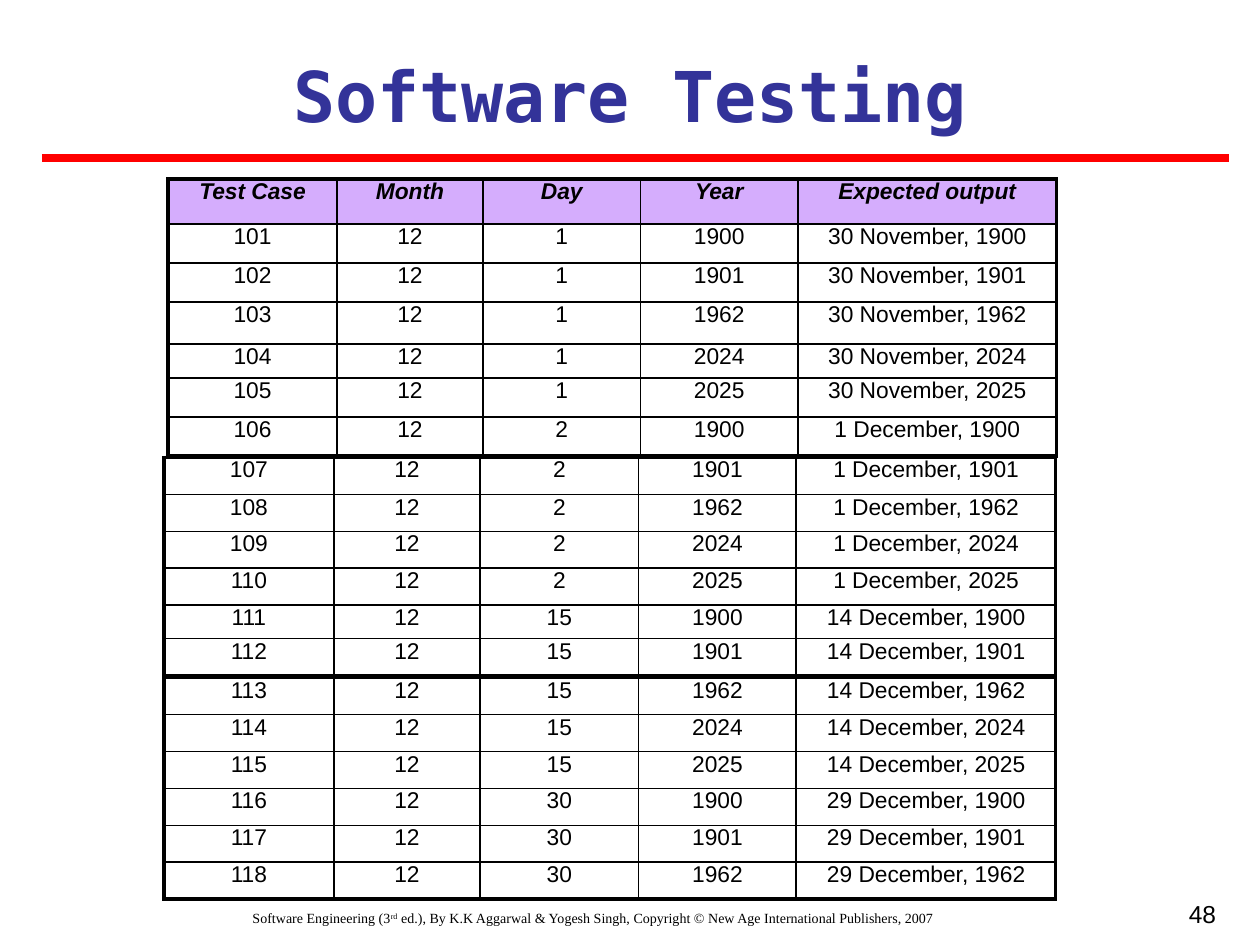
from itertools import product

from lxml import etree
from pptx import Presentation
from pptx.dml.color import RGBColor
from pptx.enum.shapes import MSO_CONNECTOR
from pptx.enum.text import MSO_ANCHOR, MSO_AUTO_SIZE, PP_ALIGN
from pptx.oxml.ns import qn
from pptx.util import Pt

LEFT, MID, RIGHT = PP_ALIGN.LEFT, PP_ALIGN.CENTER, PP_ALIGN.RIGHT
TOP = MSO_ANCHOR.TOP
GROW = MSO_AUTO_SIZE.SHAPE_TO_FIT_TEXT
STRAIGHT = MSO_CONNECTOR.STRAIGHT

COLORS = {"ink": "000000", "title": "333399", "rule": "FF0000", "head": "D5ADFD"}
THIN, THICK = 1, 2.25

TITLE = {"name": "DejaVu Sans Mono", "size": Pt(40), "bold": True}
BODY = {"name": "Arial", "size": Pt(13), "bold": False, "italic": False}
HEAD = {**BODY, "bold": True, "italic": True}
PAGE = {"name": "Arial", "size": Pt(14)}
CREDIT = {"name": "Times New Roman", "size": Pt(8)}

LABELS = ("Test Case", "Month", "Day", "Year", "Expected output")
DAYS = {1: "30 November", 2: "1 December", 15: "14 December", 30: "29 December"}
YEARS = (1900, 1901, 1962, 2024, 2025)
FIRST, LAST = 101, 118

# Left, top, column widths and row heights of each stacked table
WIDE = (97.2, 83.5, 90.7, 90, 148.3)
GRIDS = (
    (96, 102.3, (96.5, 83.5, 90, 90, 147.6), (25.7, 22.3, 22.3, 24, 19.4, 22.3, 22.3)),
    (93.6, 261.3, WIDE, (21.4, 21, 21, 21, 19.4, 21.4)),
    (93.6, 387.2, WIDE, (21.1,) * 6),
)


def style(font, form, color="ink"):
    for key, value in form.items():
        setattr(font, key, value)
    font.color.rgb = RGBColor.from_string(COLORS[color])


def write(para, text, form, align=LEFT, color="ink"):
    para.alignment = align
    run = para.add_run()
    run.text = text
    style(run.font, form, color)
    return run


def add_title(slide, text):
    title = slide.shapes.title
    title.left, title.top, title.width, title.height = map(Pt, (24, 23, 672, 55.4))
    frame = title.text_frame
    form = {"word_wrap": True, "auto_size": GROW, "vertical_anchor": TOP,
            "margin_top": Pt(7), "margin_bottom": 0}
    for key, value in form.items():
        setattr(frame, key, value)
    write(frame.paragraphs[0], text, TITLE, MID, "title")


def add_box(slide, box):
    """Add a wrapping text box and return its first paragraph."""
    frame = slide.shapes.add_textbox(*map(Pt, box)).text_frame
    frame.word_wrap = True
    return frame.paragraphs[0]


def add_rule(slide):
    line = slide.shapes.add_connector(STRAIGHT, Pt(24), Pt(90.5), Pt(702), Pt(90.5))
    line.line.color.rgb = RGBColor.from_string(COLORS["rule"])
    line.line.width = Pt(4.5)
    etree.SubElement(line._element.spPr, qn("a:effectLst"))


def add_edge(cell, side, width):
    props = cell._tc.get_or_add_tcPr()
    edge = etree.SubElement(props, qn(f"a:ln{side}"), w=str(Pt(width)))
    fill = etree.SubElement(edge, qn("a:solidFill"))
    etree.SubElement(fill, qn("a:srgbClr"), val=COLORS["ink"])


def fill_cell(cell, text, head, edges):
    cell.margin_left = cell.margin_right = Pt(7.2)
    cell.margin_top = cell.margin_bottom = 0
    cell.vertical_anchor = TOP
    for side, outer in edges.items():
        add_edge(cell, side, THICK if outer else THIN)
    if head:
        cell.fill.solid()
        cell.fill.fore_color.rgb = RGBColor.from_string(COLORS["head"])
    else:
        cell.fill.background()
    write(cell.text_frame.paragraphs[0], text, HEAD if head else BODY, MID)


def add_grid(slide, left, top, widths, heights, rows):
    """Add a table with a thick frame and thin inner lines."""
    box = map(Pt, (left, top, sum(widths), sum(heights)))
    table = slide.shapes.add_table(len(heights), len(widths), *box).table
    table.horz_banding = False
    table.first_row = rows[0] == LABELS
    for col, width in zip(table.columns, widths):
        col.width = Pt(width)
    for row, height in zip(table.rows, heights):
        row.height = Pt(height)
    for r, values in enumerate(rows):
        for c, text in enumerate(values):
            edges = {"L": c == 0, "R": c == len(widths) - 1,
                     "T": r == 0, "B": r == len(heights) - 1}
            fill_cell(table.cell(r, c), text, values == LABELS, edges)


def make_rows():
    """Pair each December day with each year; the output is the day before."""
    cases = zip(range(FIRST, LAST + 1), product(DAYS, YEARS))
    return [LABELS] + [
        (str(case), "12", str(day), str(year), f"{DAYS[day]}, {year}")
        for case, (day, year) in cases
    ]


def add_credit(slide):
    para = add_box(slide, (18, 516.2, 642.2, 23.8))
    write(para, "Software Engineering (3", CREDIT, MID)
    raised = write(para, "rd", CREDIT, MID)
    raised._r.get_or_add_rPr().set("baseline", "30000")
    write(para, " ed.), By K.K Aggarwal & Yogesh Singh, Copyright © "
          "New Age International Publishers, 2007", CREDIT, MID)


def main():
    deck = Presentation()
    deck.slide_width, deck.slide_height = Pt(720), Pt(540)
    slide = deck.slides.add_slide(deck.slide_layouts[5])
    add_credit(slide)
    write(add_box(slide, (534, 510, 168, 42)), "48", PAGE, RIGHT)
    add_title(slide, "Software Testing")
    add_rule(slide)
    rows = make_rows()
    for left, top, widths, heights in GRIDS:
        count = len(heights)
        add_grid(slide, left, top, widths, heights, rows[:count])
        rows = rows[count:]
    deck.save("out.pptx")


if __name__ == "__main__":
    main()
